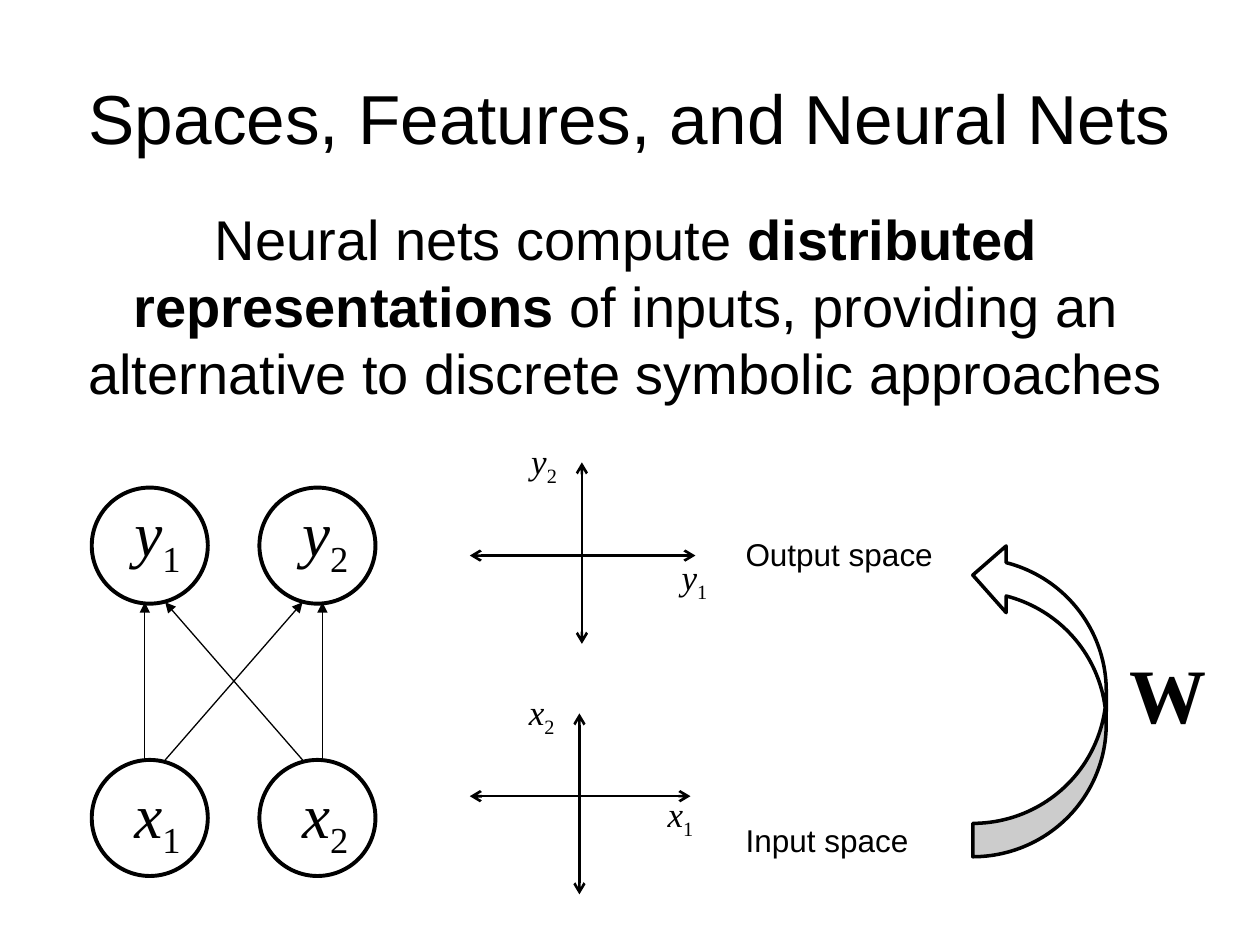
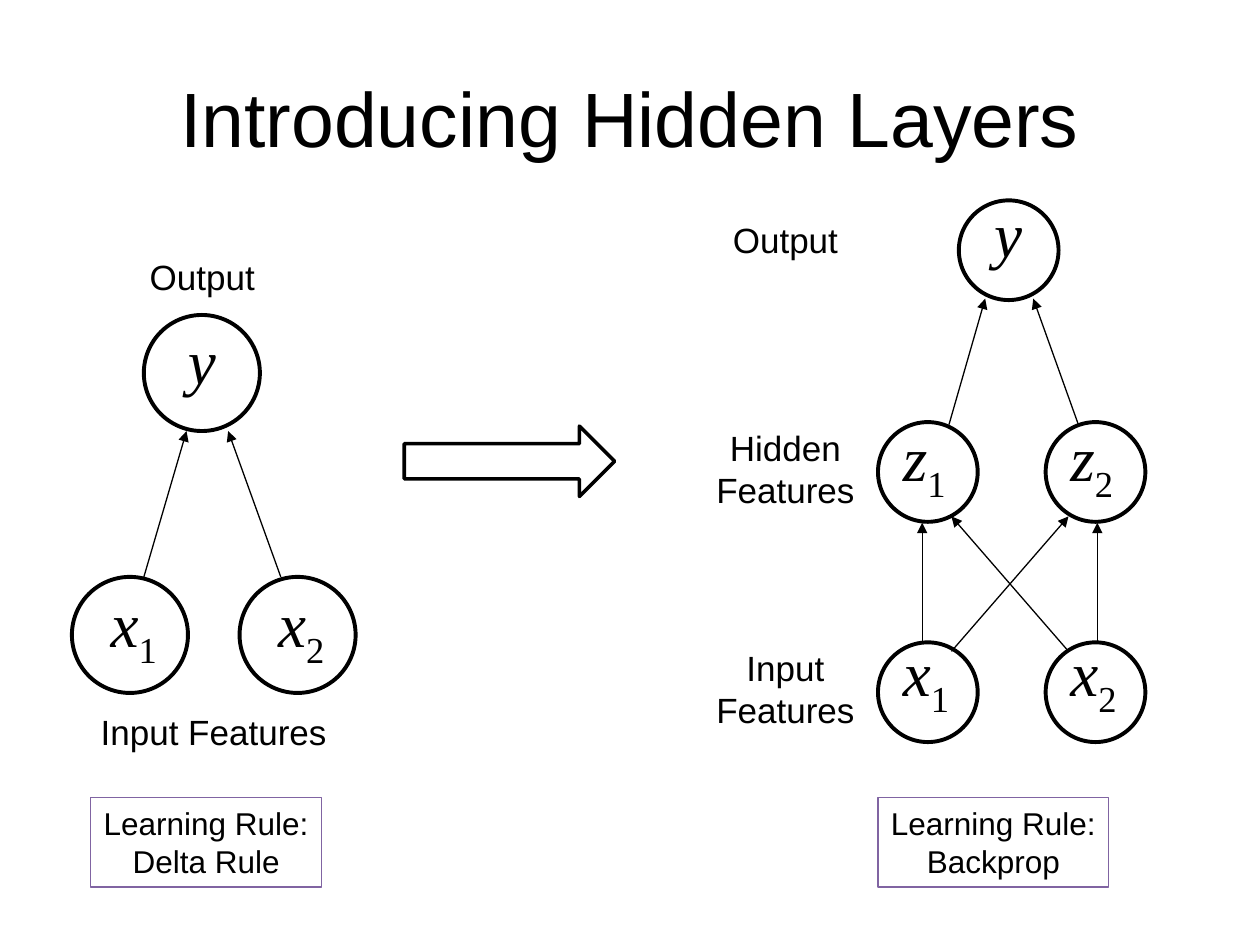
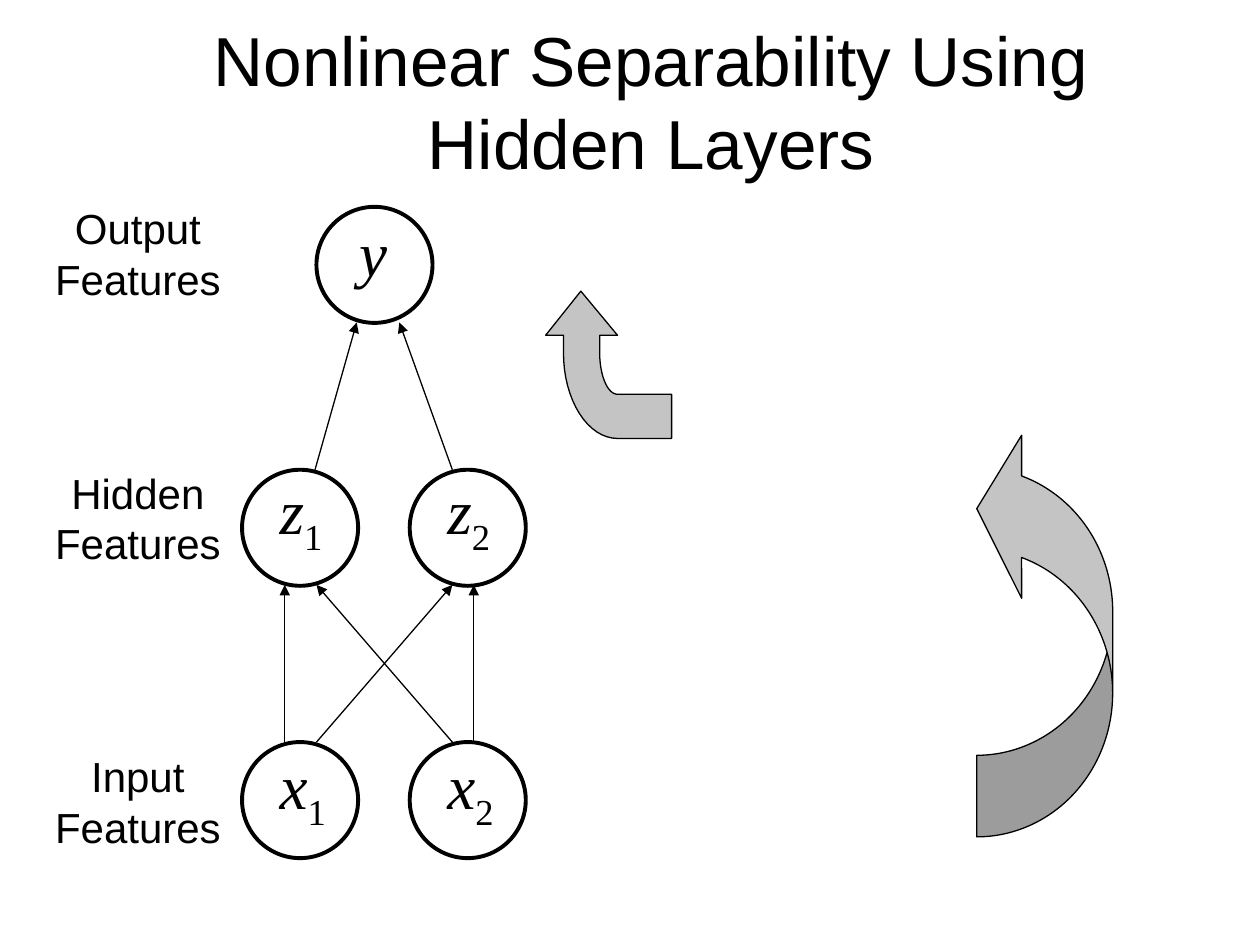
from math import cos, pi, sin

from lxml.etree import SubElement
from pptx import Presentation
from pptx.dml.color import RGBColor
from pptx.enum.shapes import MSO_CONNECTOR as Connector, MSO_SHAPE as Preset
from pptx.enum.text import MSO_ANCHOR as Anchor, MSO_AUTO_SIZE as AutoSize, PP_ALIGN as Align
from pptx.oxml.ns import qn
from pptx.util import Cm, Pt

COLORS = {"ink": "000000", "paper": "FFFFFF", "arrow": "C4C4C4", "rule": "8064A2"}
SANS, SERIF = "Arial", "Times New Roman"
TITLE_ONLY, TITLE_AND_BODY = 5, 1
NODE_PITCH = 3.38  # distance between two neighbours of a layer
NODE, SMALL_NODE = 2.34, 2.01


def color(name):
    return RGBColor.from_string(COLORS[name])


# Text
def write(frame, text, size=18, font=SANS, bold=False, italic=False,
          align=Align.LEFT, wrap=False, anchor=Anchor.TOP):
    """Fill a frame; text is a string or a list of (string, run overrides)."""
    frame.word_wrap, frame.auto_size = wrap, AutoSize.NONE
    frame.vertical_anchor = anchor
    lines = [[(line, {})] for line in text.split("\n")] if isinstance(text, str) else [text]
    for number, pieces in enumerate(lines):
        paragraph = frame.add_paragraph() if number else frame.paragraphs[0]
        paragraph.alignment = align
        paragraph.space_before = Pt(0)
        for words, change in pieces:
            run = paragraph.add_run()
            run.text = words
            run.font.name, run.font.size = font, Pt(size)
            run.font.bold = change.get("bold", bold)
            run.font.italic = change.get("italic", italic)
            run.font.color.rgb = color("ink")
            if "baseline" in change:
                run.font._element.set("baseline", str(change["baseline"]))


def label(slide, text, left, top, width, height=1.12, border=None, **style):
    box = slide.shapes.add_textbox(Cm(left), Cm(top), Cm(width), Cm(height))
    if border:
        box.line.color.rgb, box.line.width = color(border), Pt(0.75)
    write(box.text_frame, text, **style)


def variable(slide, symbol, left, top, width, height, size):
    """An italic letter with an optional upright subscript, such as x1."""
    pieces = [(symbol[0], {})]
    if symbol[1:]:
        pieces.append((symbol[1:], {"italic": False, "baseline": -25000}))
    label(slide, pieces, left, top, width, height, size=size, font=SERIF, italic=True)


def place(holder, left, top, width, height):
    holder.left, holder.top = Cm(left), Cm(top)
    holder.width, holder.height = Cm(width), Cm(height)


def titled_slide(deck, title, layout=TITLE_ONLY, size=39.6, frame=(1.27, 0.76, 22.86, 3.18)):
    slide = deck.slides.add_slide(deck.slide_layouts[layout])
    place(slide.shapes.title, *frame)
    write(slide.shapes.title.text_frame, title, size=size, align=Align.CENTER,
          wrap=True, anchor=Anchor.MIDDLE)
    return slide


# Shapes
def paint(shape, fill="paper", weight=2.0):
    shape.shadow.inherit = False
    shape.fill.solid()
    shape.fill.fore_color.rgb = color(fill)
    shape.line.color.rgb, shape.line.width = color("ink"), Pt(weight)


def preset(slide, kind, left, top, width, height, rotation=0, adjust=(), **look):
    shape = slide.shapes.add_shape(kind, Cm(left), Cm(top), Cm(width), Cm(height))
    shape.rotation = rotation
    for index, value in enumerate(adjust):
        shape.adjustments[index] = value
    paint(shape, **look)


def arrow(slide, start, end, weight=0.75, head="triangle", both=False):
    link = slide.shapes.add_connector(Connector.STRAIGHT, *map(Cm, start + end))
    link.line.color.rgb, link.line.width = color("ink"), Pt(weight)
    outline = link.line._get_or_add_ln()
    for tip in ("a:headEnd", "a:tailEnd") if both else ("a:tailEnd",):
        SubElement(outline, qn(tip)).set("type", head)
    SubElement(link._element.spPr, qn("a:effectLst"))


# Network parts
def layer(slide, symbols, left, top, shift, size=NODE):
    """A row of circles; shift moves each symbol's box from its circle."""
    for index, symbol in enumerate(symbols):
        x = left + index * NODE_PITCH
        preset(slide, Preset.OVAL, x, top, size, size, weight=2.25)
        variable(slide, symbol, x + shift[0], top + shift[1],
                 1.5 if symbol[1:] else 1.07, 1.78, 36)


def straight_links(slide, columns, bottom, top):
    for x in columns:
        arrow(slide, (x, bottom), (x, top))


def crossed_links(slide, near, far, bottom, top):
    arrow(slide, (near, bottom), (far, top))
    arrow(slide, (far, bottom), (near, top))


def merging_links(slide, feet, tips, bottom, top):
    for foot, tip in zip(feet, tips):
        arrow(slide, (foot, bottom), (tip, top))


def axes(slide, center, across, down, names):
    """A pair of axes; names maps each variable to its place."""
    x, y = center
    arrow(slide, (x, down[0]), (x, down[1]), 1.5, "arrow", both=True)
    arrow(slide, (across[0], y), (across[1], y), 1.5, "arrow", both=True)
    for symbol, (left, top) in names.items():
        variable(slide, symbol, left, top, 1.04, 1.09, 20)


def layer_names(slide, names, left, width, size):
    for text, top in names.items():
        label(slide, text, left, top, width, 2.31, size=size, align=Align.CENTER, wrap=True)


def quarter(center, radii, start, end, steps=16):
    """Points on an ellipse between two angles given in quarter turns."""
    angles = [(start + (end - start) * i / steps) * pi / 2 for i in range(steps + 1)]
    return [(center[0] + radii[0] * cos(a), center[1] + radii[1] * sin(a)) for a in angles]


def bent_arrow(slide):
    bend = (12.45, 7.11)
    outline = [(11.71, 5.87), (11, 6.76), (11.36, 6.76)]
    outline += quarter(bend, (1.09, 1.73), 2, 1)
    outline += [(13.54, 8.84), (13.54, 7.95)]
    outline += quarter(bend, (0.36, 0.84), 1, 2)
    outline += [(12.09, 6.76), (12.45, 6.76)]
    points = [(Cm(x), Cm(y)) for x, y in outline]
    builder = slide.shapes.build_freeform(*points[0])
    builder.add_line_segments(points[1:], close=True)
    paint(builder.convert_to_shape(), "arrow", 0.75)


# Slides
def spaces_slide(deck):
    slide = titled_slide(deck, "Spaces, Features, and Neural Nets", TITLE_AND_BODY)
    statement = slide.placeholders[1]
    place(statement, 1.19, 3.99, 22.86, 12.57)
    write(statement.text_frame, [
        ("Neural nets compute ", {}),
        ("distributed representations ", {"bold": True}),
        ("of inputs, providing an alternative to discrete symbolic approaches", {}),
    ], size=32, align=Align.CENTER, wrap=True)
    properties = statement.text_frame.paragraphs[0]._p.get_or_add_pPr()
    properties.set("marL", "0")
    properties.set("indent", "0")
    SubElement(properties, qn("a:buNone"))

    layer(slide, ["y1", "y2"], 1.85, 9.83, (0.61, 0))
    layer(slide, ["x1", "x2"], 1.85, 15.32, (0.61, 0.18))
    straight_links(slide, (2.92, 6.5), 15.32, 12.14)
    crossed_links(slide, 3.33, 6.1, 15.32, 12.14)

    axes(slide, (11.73, 11.2), (9.47, 14.02), (9.32, 12.98),
         {"y1": (13.49, 11.07), "y2": (10.46, 8.74)})
    axes(slide, (11.68, 16.05), (9.47, 13.92), (14.38, 18.03),
         {"x1": (13.21, 15.85), "x2": (10.41, 13.79)})
    label(slide, "Output space", 14.78, 10.67, 4.42)
    label(slide, "Input space", 14.78, 16.43, 3.89)
    preset(slide, Preset.CURVED_RIGHT_ARROW, 19.61, 10.92, 2.69, 6.35, rotation=180)
    label(slide, "W", 22.53, 12.9, 2.06, 2.11, size=44, font=SERIF, bold=True)


def hidden_layers_slide(deck):
    slide = titled_slide(deck, "Introducing Hidden Layers", size=44)

    # Network without a hidden layer
    layer(slide, ["y"], 2.9, 6.35, (0.64, 0))
    layer(slide, ["x1", "x2"], 1.45, 11.63, (0.53, 0.03))
    merging_links(slide, (2.9, 5.66), (3.76, 4.6), 11.63, 8.69)
    label(slide, "Output", 2.72, 5.03, 2.72, size=20, align=Align.CENTER)
    label(slide, "Input Features", 1.78, 14.2, 5.11, size=20)

    preset(slide, Preset.RIGHT_ARROW, 8.15, 8.59, 4.24, 1.42)

    # Network with a hidden layer
    layer(slide, ["y"], 19.33, 4.04, (0.46, -0.25), SMALL_NODE)
    layer(slide, ["z1", "z2"], 17.7, 8.51, (0.25, -0.2), SMALL_NODE)
    layer(slide, ["x1", "x2"], 17.7, 12.95, (0.25, -0.3), SMALL_NODE)
    merging_links(slide, (19.13, 21.74), (19.86, 20.83), 8.56, 6.02)
    straight_links(slide, (18.59, 22.12), 12.93, 10.54)
    crossed_links(slide, 19.18, 21.54, 13.13, 10.41)
    layer_names(slide, {"Output": 4.29, "Hidden Features": 8.48, "Input Features": 12.9},
                14.02, 3.63, 20)

    for rule, left in (("Delta Rule", 1.83), ("Backprop", 17.7)):
        label(slide, f"Learning Rule:\n{rule}", left, 16.08, 4.65, 1.8,
              border="rule", align=Align.CENTER)


def separability_slide(deck):
    slide = titled_slide(deck, "Nonlinear Separability Using Hidden Layers",
                         frame=(1.91, 0.43, 22.43, 3.18))
    layer(slide, ["y"], 6.38, 4.17, (0.61, 0))
    layer(slide, ["z1", "z2"], 4.88, 9.47, (0.51, -0.08))
    layer(slide, ["x1", "x2"], 4.88, 14.96, (0.51, -0.03))
    merging_links(slide, (6.35, 9.12), (7.19, 8.05), 9.47, 6.5)
    straight_links(slide, (5.74, 9.55), 14.96, 11.79)
    crossed_links(slide, 6.38, 9.12, 14.96, 11.79)
    layer_names(slide, {"Output Features": 3.96, "Hidden Features": 9.3,
                        "Input Features": 15.01}, 0.66, 4.24, 24)
    bent_arrow(slide)
    preset(slide, Preset.CURVED_RIGHT_ARROW, 19.69, 8.61, 2.74, 8.26, rotation=180,
           adjust=(0.6, 1.2, 0.33), fill="arrow", weight=0.75)


def main():
    deck = Presentation()
    deck.slide_width, deck.slide_height = Cm(25.4), Cm(19.05)
    spaces_slide(deck)
    hidden_layers_slide(deck)
    separability_slide(deck)
    deck.save("out.pptx")


if __name__ == "__main__":
    main()
